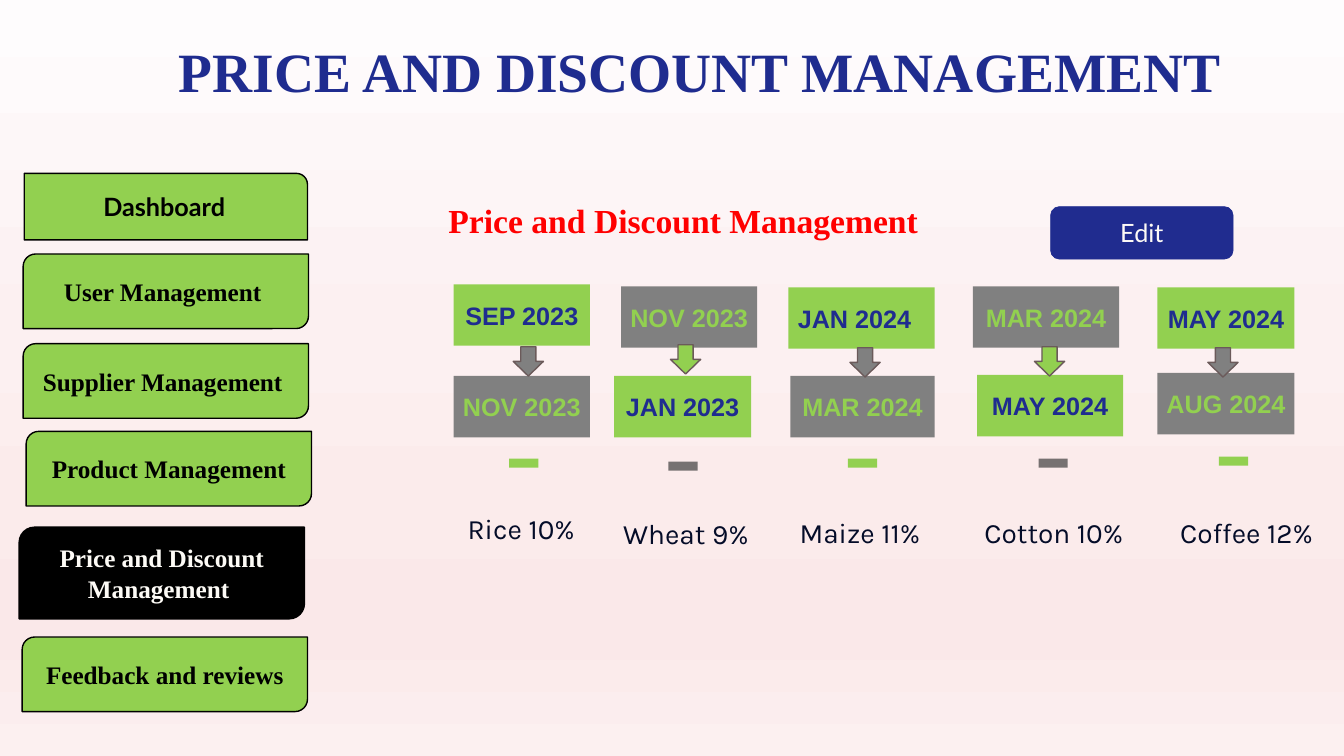
from copy import deepcopy

from lxml.etree import SubElement
from pptx import Presentation
from pptx.dml.color import RGBColor
from pptx.enum.shapes import MSO_SHAPE
from pptx.enum.text import MSO_ANCHOR, PP_ALIGN
from pptx.oxml.ns import qn
from pptx.util import Inches, Pt

RECT = MSO_SHAPE.RECTANGLE
ROUND = MSO_SHAPE.ROUNDED_RECTANGLE
CORNER = MSO_SHAPE.ROUND_1_RECTANGLE
LEAF = MSO_SHAPE.ROUND_2_DIAG_RECTANGLE
ARROW = MSO_SHAPE.DOWN_ARROW
TOP = MSO_ANCHOR.TOP
MIDDLE = MSO_ANCHOR.MIDDLE
LEFT = PP_ALIGN.LEFT
CENTER = PP_ALIGN.CENTER

GREEN = RGBColor(0x92, 0xD0, 0x50)
GRAY = RGBColor(0x80, 0x80, 0x80)
TAUPE = RGBColor(0x76, 0x71, 0x71)
BROWN = RGBColor(0x6B, 0x5A, 0x5A)
NAVY = RGBColor(0x1F, 0x2C, 0x8F)
BLUE = RGBColor(0x20, 0x2C, 0x8F)
INK = RGBColor(0x04, 0x0C, 0x28)
RED = RGBColor(0xFF, 0x00, 0x00)
BLACK = RGBColor(0x00, 0x00, 0x00)
CREAM = RGBColor(0xFD, 0xFB, 0xF6)
IVORY = RGBColor(0xFD, 0xFA, 0xF6)

STOPS = [
    (0, RGBColor(0xFE, 0xFC, 0xFD)),
    (0.45, RGBColor(0xFC, 0xF0, 0xF1)),
    (0.66, RGBColor(0xFB, 0xEB, 0xEB)),
    (0.74, RGBColor(0xFA, 0xE8, 0xE9)),
    (0.83, RGBColor(0xFA, 0xE8, 0xE9)),
    (1, RGBColor(0xFC, 0xF0, 0xF0)),
]

SERIF = {"name": "Times New Roman", "bold": True}
HEAD = {**SERIF, "size": Pt(39.6)}
SUBHEAD = {**SERIF, "size": Pt(24)}
MENU = {**SERIF, "size": Pt(18)}
DATE = {"name": "Arial", "size": Pt(18), "bold": True}
CROP = {"name": "Karla", "size": Pt(20), "bold": False}
BUTTON = {"name": "Lato", "size": Pt(18), "bold": False}
HOME = {**BUTTON, "bold": True}

PAD = (0.1, 0.05, 0.1, 0.05)
FLAT = (0, 0, 0, 0)
SIDES = ("left", "top", "right", "bottom")

TABS = [
    (CORNER, "Dashboard", (0.24, 1.72, 2.81, 0.66), GREEN, BLACK, HOME),
    (LEAF, "User Management ", (0.23, 2.52, 2.83, 0.74), GREEN, BLACK, MENU),
    (LEAF, "Supplier Management ", (0.23, 3.41, 2.83, 0.74), GREEN, BLACK, MENU),
    (LEAF, "Product Management", (0.26, 4.28, 2.83, 0.74), GREEN, BLACK, MENU),
    (LEAF, "Price and Discount Management ", (0.19, 5.23, 2.83, 0.91),
     BLACK, CREAM, MENU),
    (LEAF, "Feedback and reviews", (0.22, 6.32, 2.83, 0.74), GREEN, BLACK, MENU),
]

CROPS = [
    (("SEP 2023", 4.5, 2.82, 1.35), ("NOV 2023", 4.5, 3.73, 1.35),
     (5.09, 3.44), (5.05, 4.55), ("Rice 10%", 4.32, 5.03, 1.7)),
    (("NOV 2023", 6.16, 2.84, 1.35), ("JAN 2023", 6.09, 3.73, 1.36),
     (6.65, 3.42), (6.63, 4.58), (" Wheat 9%", 5.92, 5.07, 1.7)),
    (("JAN 2024", 7.82, 2.85, 1.45), ("MAR 2024", 7.84, 3.73, 1.43),
     (8.43, 3.45), (8.41, 4.55), ("Maize 11%", 7.68, 5.06, 1.7)),
    (("MAR 2024", 9.65, 2.84, 1.45), ("MAY 2024", 9.69, 3.72, 1.45),
     (10.26, 3.44), (10.3, 4.55), (" Cotton 10%", 9.57, 5.06, 1.7)),
    (("MAY 2024", 11.48, 2.85, 1.36), ("AUG 2024", 11.48, 3.7, 1.36),
     (11.98, 3.45), (12.09, 4.53), ("Coffee 12%", 11.46, 5.06, 1.81)),
]


def write(shape, text, style, color, align=CENTER, anchor=MIDDLE, pad=PAD):
    frame = shape.text_frame
    frame.word_wrap = True
    frame.vertical_anchor = anchor
    for side, gap in zip(SIDES, pad):
        setattr(frame, f"margin_{side}", Inches(gap))
    line = frame.paragraphs[0]
    line.alignment = align
    run = line.add_run()
    run.text = text
    for key, value in style.items():
        setattr(run.font, key, value)
    run.font.color.rgb = color


def draw(slide, kind, box, fill, edge=None, width=1):
    shape = slide.shapes.add_shape(kind, *map(Inches, box))
    shape.shadow.inherit = False
    shape.fill.solid()
    shape.fill.fore_color.rgb = fill
    if edge is None:
        shape.line.fill.background()
    else:
        shape.line.color.rgb = edge
        shape.line.width = Pt(width)
    return shape


def label(slide, box, text, style, color, **format):
    shape = slide.shapes.add_textbox(*map(Inches, box))
    write(shape, text, style, color, anchor=TOP, **format)


def paint(slide):
    fill = slide.background.fill
    fill.gradient()
    fill.gradient_angle = 270
    stops = next(slide.element.iter(qn("a:gsLst")))
    model = deepcopy(stops[0])
    for stop in list(stops):
        stops.remove(stop)
    for place, color in STOPS:
        stop = deepcopy(model)
        stop.set("pos", str(round(place * 100000)))
        for child in list(stop):
            stop.remove(child)
        SubElement(stop, qn("a:srgbClr")).set("val", str(color))
        stops.append(stop)


def date(slide, item, green):
    text, x, y, width = item
    shape = draw(slide, RECT, (x, y, width, 0.61), GREEN if green else GRAY)
    pad = (0, 0, 0.14, 0) if text == "JAN 2024" else FLAT
    write(shape, text, DATE, NAVY if green else GREEN, pad=pad)


def column(slide, crop, green):
    start, end, arrow, dash, name = crop
    date(slide, start, green)
    date(slide, end, not green)
    draw(slide, ARROW, (*arrow, 0.3, 0.29), GRAY if green else GREEN, BROWN)
    draw(slide, RECT, (*dash, 0.29, 0.09), GREEN if green else TAUPE)
    text, x, y, width = name
    label(slide, (x, y, width, 0.61), text, CROP, INK, pad=(0, 0.05, 0, 0.05))


def main():
    deck = Presentation()
    deck.slide_width = Inches(13.33)
    deck.slide_height = Inches(7.5)
    slide = deck.slides.add_slide(deck.slide_layouts[5])
    paint(slide)

    title = slide.shapes.title
    place = {"left": 1.17, "top": 0.28, "width": 11.67, "height": 0.84}
    for key, value in place.items():
        setattr(title, key, Inches(value))
    write(title, "PRICE AND DISCOUNT MANAGEMENT ", HEAD, NAVY)

    for index, crop in enumerate(CROPS):
        column(slide, crop, index % 2 == 0)

    label(slide, (4.35, 1.93, 5.2, 0.5), "Price and Discount Management",
          SUBHEAD, RED, align=LEFT)
    edit = draw(slide, ROUND, (10.42, 2.05, 1.81, 0.52), BLUE, BLUE, 0.5)
    write(edit, "Edit", BUTTON, IVORY)

    for kind, text, box, fill, color, style in TABS:
        write(draw(slide, kind, box, fill, BLACK), text, style, color)

    deck.save("out.pptx")


if __name__ == "__main__":
    main()
